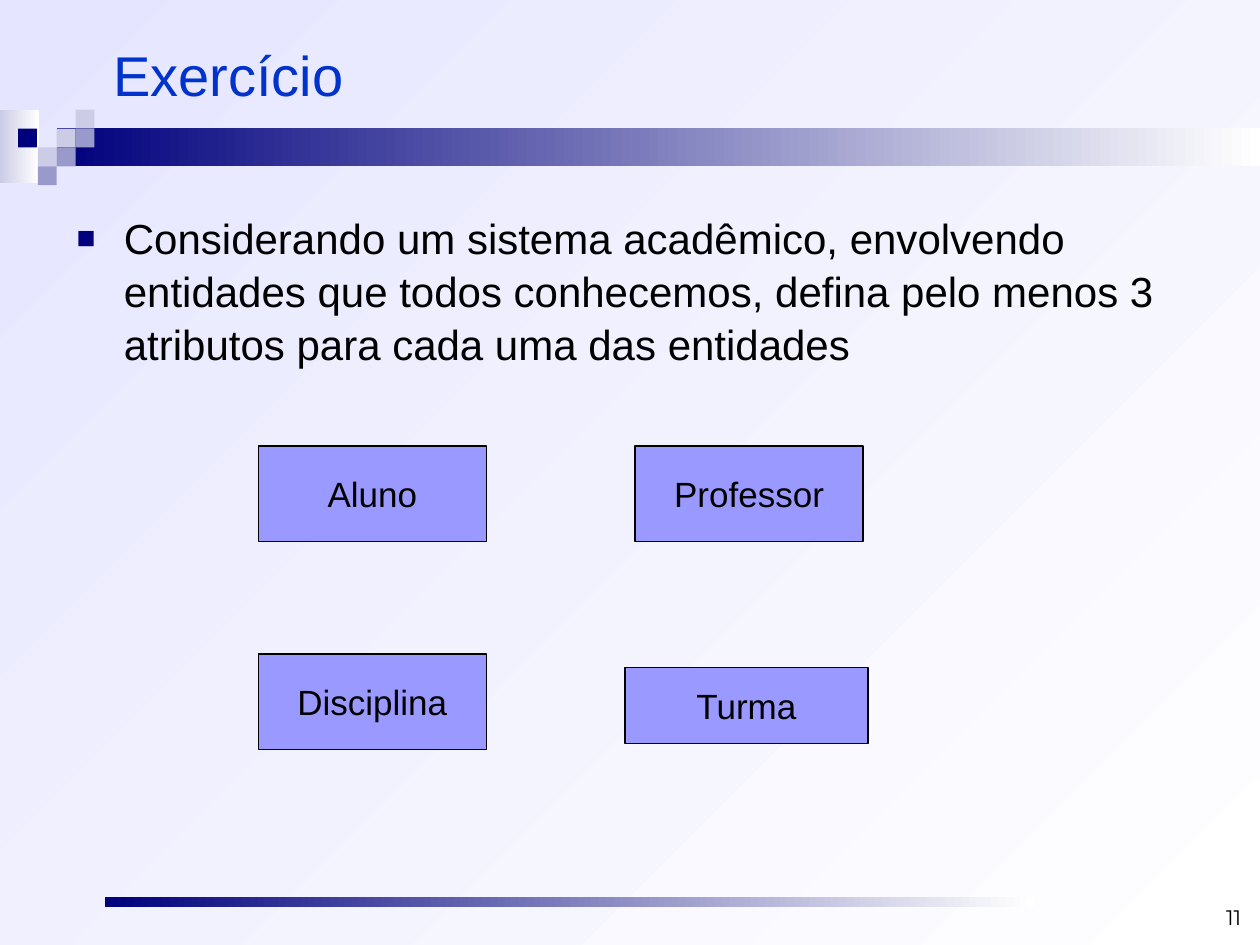
"""Build the academic-system exercise slide with its four entity boxes."""
import pptx
import pptx.dml.color
import pptx.enum.shapes
import pptx.enum.text
import pptx.util
import lxml.etree

Pt = pptx.util.Pt
RGBColor = pptx.dml.color.RGBColor
ALIGN = pptx.enum.text.PP_ALIGN
ANCHOR = pptx.enum.text.MSO_ANCHOR

WHITE = RGBColor(0xFF, 0xFF, 0xFF)
BLACK = RGBColor(0x00, 0x00, 0x00)
NAVY = RGBColor(0x00, 0x00, 0x7D)
PALE = RGBColor(0xCC, 0xCC, 0xE6)
MID = RGBColor(0x99, 0x99, 0xCC)
LAVENDER = RGBColor(0xE5, 0xE5, 0xFF)
TITLE_BLUE = RGBColor(0x00, 0x33, 0xCC)
ENTITY_FILL = RGBColor(0x99, 0x99, 0xFF)

presentation = pptx.Presentation()
presentation.slide_width = Pt(720)
presentation.slide_height = Pt(540)
slide = presentation.slides.add_slide(presentation.slide_layouts[6])


def paint(fill, color, end_color=None, angle=180):
    if end_color is None:
        fill.solid()
        fill.fore_color.rgb = color
        return
    fill.gradient()
    fill.gradient_angle = angle
    for stop, stop_color in zip(fill.gradient_stops, (color, end_color)):
        stop.color.rgb = stop_color


def write(shape, text, anchor, align, wrap, font_format):
    frame = shape.text_frame
    frame.word_wrap = wrap
    frame.vertical_anchor = anchor
    paragraph = frame.paragraphs[0]
    paragraph.alignment = align
    run = paragraph.add_run()
    run.text = text
    for key, value in font_format.items():
        setattr(run.font, key, value)
    run.font.color.rgb = TITLE_BLUE if text == "Exercício" else BLACK
    return paragraph


paint(slide.background.fill, WHITE, LAVENDER, 135)

SQUARE = 10.8
GRID_LEFT, GRID_TOP = 21.6, 62.64
decorations = [
    (0, GRID_TOP, 22.32, 41.76, WHITE, PALE),
    (32.4, 73.44, 687.6, 21.6, WHITE, NAVY),
    (59.76, 512.64, 531.36, 5.76, WHITE, NAVY),
    (10.3, 73.44, SQUARE, SQUARE, NAVY, None),
]
for column, row, color in [(1, 1, PALE), (2, 0, PALE), (2, 1, MID),
                           (0, 2, PALE), (1, 2, MID), (0, 3, MID)]:
    decorations.append((GRID_LEFT + column * SQUARE, GRID_TOP + row * SQUARE,
                        SQUARE, SQUARE, color, None))

for left, top, width, height, color, end_color in decorations:
    decoration = slide.shapes.add_shape(
        pptx.enum.shapes.MSO_SHAPE.RECTANGLE, Pt(left), Pt(top), Pt(width), Pt(height))
    decoration.shadow.inherit = False
    decoration.line.fill.background()
    paint(decoration.fill, color, end_color)

title = slide.shapes.add_textbox(Pt(57.6), Pt(9.36), Pt(648), Pt(65.52))
write(title, "Exercício", ANCHOR.MIDDLE, ALIGN.LEFT, True,
      {"name": "Arial", "size": Pt(32)})

statement = slide.shapes.add_textbox(Pt(36.72), Pt(116.64), Pt(648), Pt(362.88))
statement_paragraph = write(
    statement,
    "Considerando um sistema acadêmico, envolvendo entidades que todos conhecemos, "
    "defina pelo menos 3 atributos para cada uma das entidades",
    ANCHOR.TOP, ALIGN.LEFT, True, {"name": "Arial", "size": Pt(24)})
statement_paragraph.line_spacing = 1.05
properties = statement_paragraph._p.get_or_add_pPr()
properties.set("marL", str(Pt(27)))
properties.set("indent", str(Pt(-27)))
namespace = "{http://schemas.openxmlformats.org/drawingml/2006/main}"
bullet_color = lxml.etree.SubElement(properties, namespace + "buClr")
lxml.etree.SubElement(bullet_color, namespace + "srgbClr", val=str(NAVY))
for tag, attribute, value in [("buSzPct", "val", "75000"),
                              ("buFont", "typeface", "Arial"),
                              ("buChar", "char", "■")]:
    lxml.etree.SubElement(properties, namespace + tag, {attribute: value})

entities = [
    ("Aluno", 147.6, 254.88, 130.32, 54.72),
    ("Disciplina", 147.6, 373.68, 130.32, 54.72),
    ("Professor", 362.88, 254.88, 130.32, 54.72),
    ("Turma", 357.12, 381.6, 138.96, 43.2),
]
for entity_name, left, top, width, height in entities:
    entity = slide.shapes.add_shape(
        pptx.enum.shapes.MSO_SHAPE.RECTANGLE, Pt(left), Pt(top), Pt(width), Pt(height))
    entity.shadow.inherit = False
    paint(entity.fill, ENTITY_FILL)
    entity.line.color.rgb = BLACK
    entity.line.width = Pt(0.75)
    write(entity, entity_name, ANCHOR.MIDDLE, ALIGN.CENTER, False,
          {"name": "Arial", "size": Pt(20)})

page_number = slide.shapes.add_textbox(Pt(548.64), Pt(498.96), Pt(167.76), Pt(36))
write(page_number, "11", ANCHOR.BOTTOM, ALIGN.RIGHT, True,
      {"name": "Montserrat", "size": Pt(12)})

presentation.save("out.pptx")
